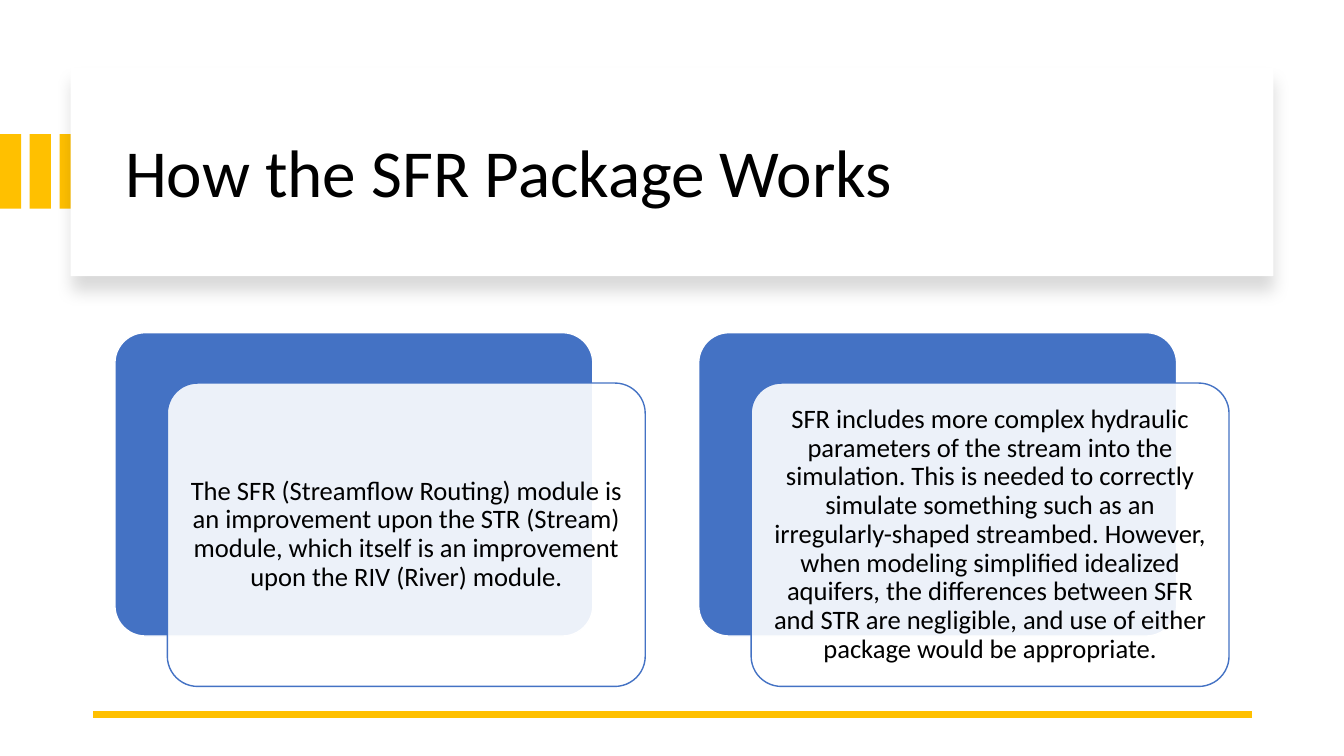
import pptx
import pptx.dml.color
import pptx.enum.shapes
import pptx.enum.text
import pptx.oxml
import pptx.oxml.ns
import pptx.util
from dataclasses import dataclass
from pptx.util import Inches

HEADING = "How the SFR Package Works"
STATEMENTS = [
    "The SFR (Streamflow Routing) module is an improvement upon the STR (Stream) module, "
    "which itself is an improvement upon the RIV (River) module.",
    "SFR includes more complex hydraulic parameters of the stream into the simulation. "
    "This is needed to correctly simulate something such as an irregularly-shaped streambed. "
    "However, when modeling simplified idealized aquifers, the differences between SFR and STR "
    "are negligible, and use of either package would be appropriate.",
]


@dataclass(frozen=True)
class Theme:
    font: str = "Calibri"
    text: str = "000000"
    paper: str = "FFFFFF"
    accent: str = "FFC000"
    card: str = "4472C4"
    heading_size: int = 48
    statement_size: int = 19
    outline: int = 1
    rule: float = 4.5
    line_spacing: float = 0.9
    card_opacity: int = 90


THEME = Theme()
SHAPE = pptx.enum.shapes.MSO_SHAPE
ALIGN = pptx.enum.text.PP_ALIGN

STRIPE_COUNT, STRIPE_STEP = 3, 0.295
CARD_LEFT, CARD_TOP, CARD_STEP = 1.14, 3.3, 5.79
CARD_WIDTH, CARD_HEIGHT = 4.74, 3.01
FRONT_DX, FRONT_DY = 0.52, 0.5

PANEL_SHADOW = (
    f'<a:effectLst {pptx.oxml.ns.nsdecls("a")}>'
    f'<a:outerShdw blurRad="{pptx.util.Pt(11)}" dist="{pptx.util.Pt(10)}" dir="5400000">'
    '<a:srgbClr val="000000"><a:alpha val="15000"/></a:srgbClr>'
    '</a:outerShdw></a:effectLst>'
)


def rgb(code):
    return pptx.dml.color.RGBColor.from_string(code)


def add_block(shapes, kind, box, fill, outline=None):
    block = shapes.add_shape(kind, *map(Inches, box))
    block.shadow.inherit = False
    block.fill.solid()
    block.fill.fore_color.rgb = rgb(fill)
    if outline:
        block.line.color.rgb = rgb(outline)
        block.line.width = pptx.util.Pt(THEME.outline)
    else:
        block.line.fill.background()
    return block


def write(holder, wording, size, align, inset_x, inset_y):
    frame = holder.text_frame
    frame.text = wording
    paragraph = frame.paragraphs[0]
    formats = [
        (frame, {
            "word_wrap": True,
            "auto_size": pptx.enum.text.MSO_AUTO_SIZE.NONE,
            "vertical_anchor": pptx.enum.text.MSO_ANCHOR.MIDDLE,
            "margin_left": Inches(inset_x), "margin_right": Inches(inset_x),
            "margin_top": Inches(inset_y), "margin_bottom": Inches(inset_y),
        }),
        (paragraph, {"alignment": align, "line_spacing": THEME.line_spacing}),
        (paragraph.runs[0].font, {"name": THEME.font, "size": pptx.util.Pt(size)}),
    ]
    for target, values in formats:
        for attribute, value in values.items():
            setattr(target, attribute, value)
    paragraph.runs[0].font.color.rgb = rgb(THEME.text)


def add_header(slide):
    stripes = slide.shapes.add_group_shape()
    for index in range(STRIPE_COUNT):
        add_block(stripes.shapes, SHAPE.RECTANGLE,
                  (index * STRIPE_STEP, 1.33, 0.21, 0.74), THEME.accent)

    panel = add_block(slide.shapes, SHAPE.RECTANGLE, (0.7, 0.67, 11.93, 2.07), THEME.paper)
    properties = panel.element.spPr
    properties.replace(properties.find(pptx.oxml.ns.qn("a:effectLst")),
                       pptx.oxml.parse_xml(PANEL_SHADOW))

    heading = slide.shapes.title
    heading.left, heading.top, heading.width, heading.height = map(
        Inches, (1.14, 0.89, 11.13, 1.7))
    write(heading, HEADING, THEME.heading_size, ALIGN.LEFT, 0.1, 0.05)
    heading.element.getparent().append(heading.element)


def add_rule(slide):
    rule = slide.shapes.add_connector(
        pptx.enum.shapes.MSO_CONNECTOR.STRAIGHT, *map(Inches, (12.42, 7.09, 0.92, 7.09)))
    rule.line.color.rgb = rgb(THEME.accent)
    rule.line.width = pptx.util.Pt(THEME.rule)
    pptx.oxml.ns.qn("a:effectLst")
    rule.element.spPr.append(
        pptx.oxml.parse_xml(f'<a:effectLst {pptx.oxml.ns.nsdecls("a")}/>'))


def add_card(slide, index, statement):
    card = slide.shapes.add_group_shape()
    left = CARD_LEFT + index * CARD_STEP
    back = add_block(card.shapes, SHAPE.ROUNDED_RECTANGLE,
                     (left, CARD_TOP, CARD_WIDTH, CARD_HEIGHT), THEME.card, THEME.paper)
    front = add_block(card.shapes, SHAPE.ROUNDED_RECTANGLE,
                      (left + FRONT_DX, CARD_TOP + FRONT_DY, CARD_WIDTH, CARD_HEIGHT),
                      THEME.paper, THEME.card)
    for layer in (back, front):
        layer.adjustments[0] = 0.1
    color = front.element.spPr.find(pptx.oxml.ns.qn("a:solidFill"))[0]
    color.append(pptx.oxml.parse_xml(
        f'<a:alpha {pptx.oxml.ns.nsdecls("a")} val="{THEME.card_opacity * 1000}"/>'))
    write(front, statement, THEME.statement_size, ALIGN.CENTER, 0.08, 0.08)


def main():
    deck = pptx.Presentation()
    deck.slide_width, deck.slide_height = Inches(13.33), Inches(7.5)
    slide = deck.slides.add_slide(deck.slide_layouts.get_by_name("Title Only"))
    slide.background.fill.solid()
    slide.background.fill.fore_color.rgb = rgb(THEME.paper)
    add_header(slide)
    add_rule(slide)
    for index, statement in enumerate(STATEMENTS):
        add_card(slide, index, statement)
    deck.save("out.pptx")


if __name__ == "__main__":
    main()
